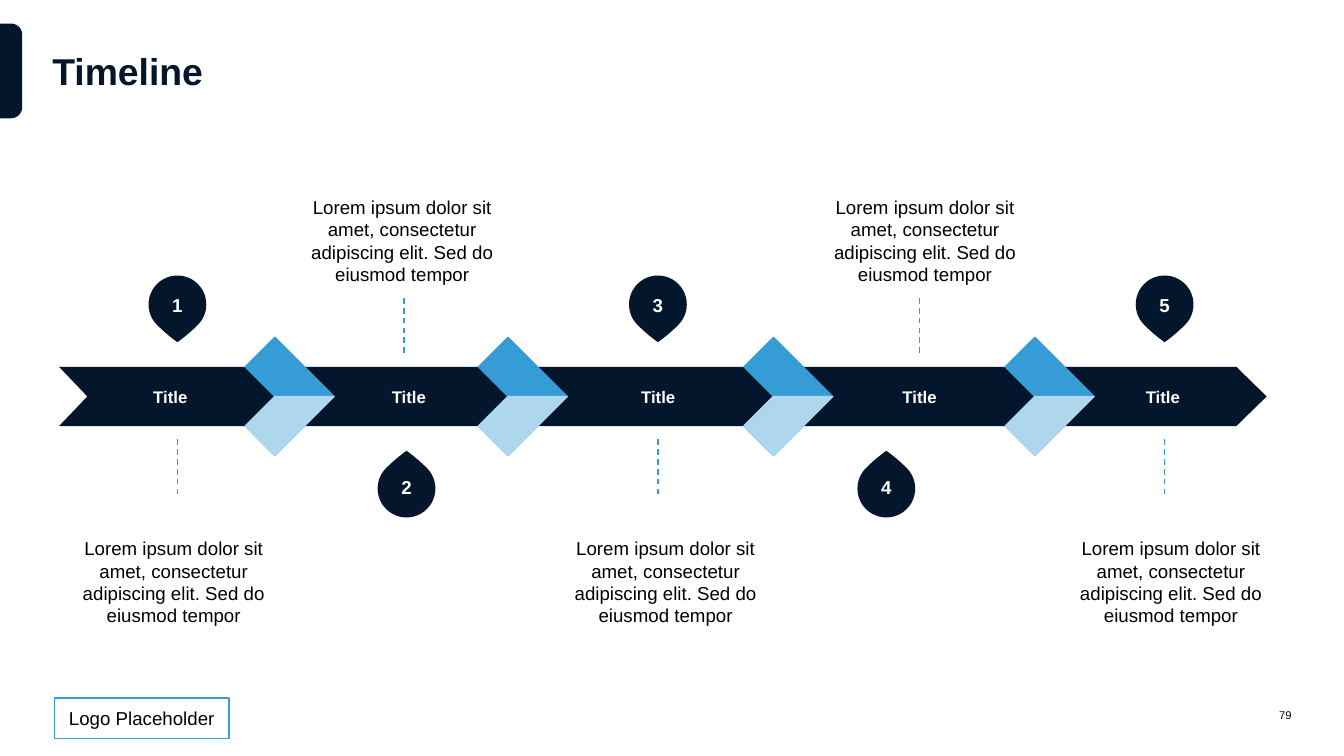
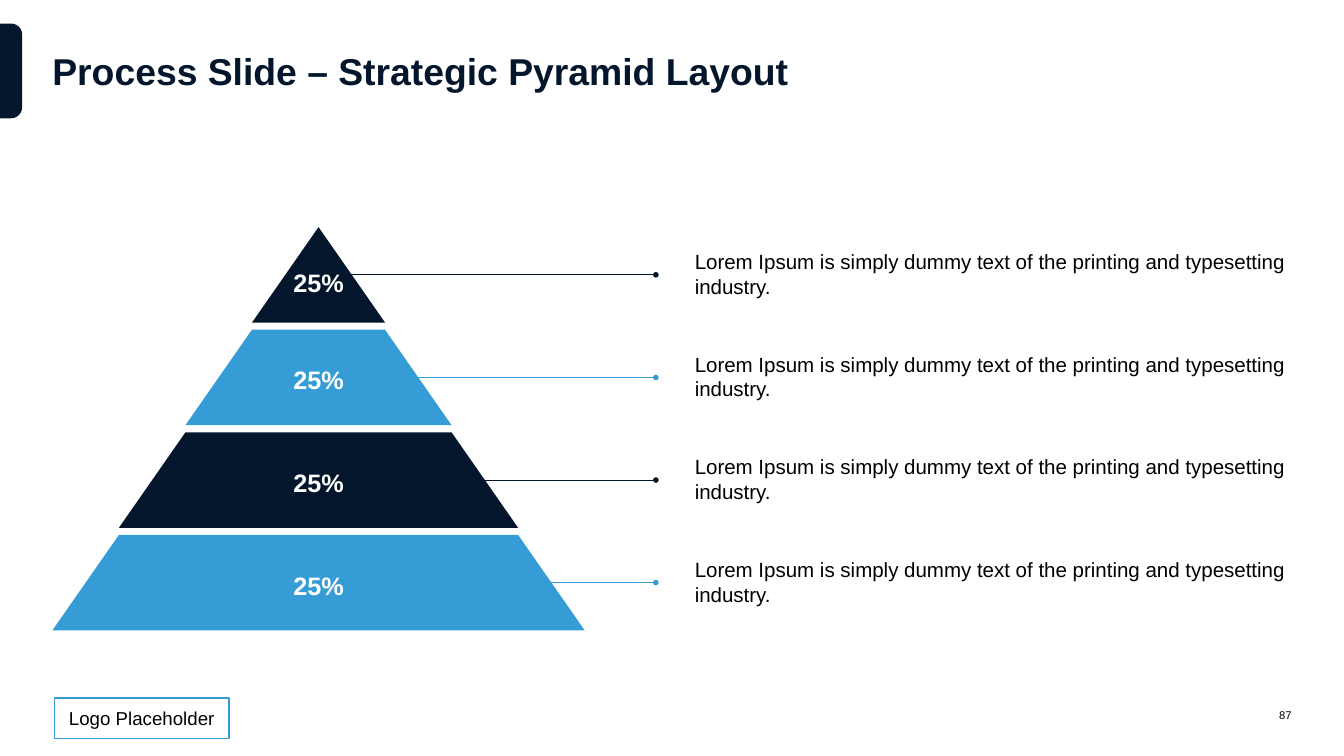
from dataclasses import dataclass
from lxml.etree import SubElement
from pptx import Presentation
from pptx.dml.color import RGBColor
from pptx.enum.dml import MSO_LINE
from pptx.enum.shapes import MSO_CONNECTOR, MSO_SHAPE
from pptx.enum.text import MSO_ANCHOR, MSO_AUTO_SIZE, PP_ALIGN
from pptx.oxml.ns import qn
from pptx.util import Inches, Pt


@dataclass(frozen=True)
class Theme:
    font: str = "Arial"
    navy: str = "04162B"
    blue: str = "359CD5"
    pale: str = "AED7EE"
    white: str = "FFFFFF"
    black: str = "000000"
    head: int = 40
    share: int = 27
    note: int = 22
    body: int = 20
    label: int = 18
    foot: int = 12


T = Theme()

LOGO = "Logo Placeholder"
LOREM = "Lorem ipsum dolor sit amet, consectetur adipiscing elit. Sed do eiusmod tempor"
DUMMY = "Lorem Ipsum is simply dummy text of the printing and typesetting industry."

STEPS = [
    dict(num="1", name="Title", mid=2.53, pin=2.64, dash=2.64, left=0.78, text=LOREM),
    dict(num="2", name="Title", mid=6.08, pin=6.05, dash=6.01, left=4.18, text=LOREM),
    dict(num="3", name="Title", mid=9.79, pin=9.79, dash=9.79, left=8.1, text=LOREM),
    dict(num="4", name="Title", mid=13.68, pin=13.19, dash=13.68, left=11.96, text=LOREM),
    dict(num="5", name="Title", mid=17.3, pin=17.33, dash=17.33, left=15.62, text=LOREM),
]
JOINTS = [4.09, 7.56, 11.51, 15.4]
AXIS = 5.9

TIERS = [
    ("25%", T.navy, DUMMY),
    ("25%", T.blue, DUMMY),
    ("25%", T.navy, DUMMY),
    ("25%", T.blue, DUMMY),
]


def box(*sides):
    return [Inches(side) for side in sides]


def paint(shape, fill, line=None, width=1.5):
    shape.shadow.inherit = False
    shape.fill.solid()
    shape.fill.fore_color.rgb = RGBColor.from_string(fill)
    if line:
        shape.line.color.rgb = RGBColor.from_string(line)
        shape.line.width = Pt(width)
    else:
        shape.line.fill.background()
    return shape


def write(shape, text, size=T.body, color=T.black, bold=False, align=PP_ALIGN.LEFT,
          anchor=MSO_ANCHOR.TOP, pad=None, space=None, grow=False):
    frame = shape.text_frame
    frame.word_wrap = True
    frame.vertical_anchor = anchor
    if grow:
        frame.auto_size = MSO_AUTO_SIZE.SHAPE_TO_FIT_TEXT
    if pad is not None:
        frame.margin_left = frame.margin_right = Inches(pad)
        frame.margin_top = frame.margin_bottom = Inches(pad)
    para = frame.paragraphs[0]
    para.alignment = align
    if space:
        para.line_spacing = space
    run = para.add_run()
    run.text = text
    run.font.name = T.font
    run.font.size = Pt(size)
    run.font.bold = bold
    run.font.color.rgb = RGBColor.from_string(color)


def label(slide, place, text, **style):
    write(slide.shapes.add_textbox(*box(*place)), text, **style)


def draw(slide, points, fill, line=None):
    spots = [box(*point) for point in points]
    form = slide.shapes.build_freeform(*spots[0])
    form.add_line_segments(spots[1:], close=True)
    paint(form.convert_to_shape(), fill, line)


def rule(slide, start, end, color, width, dash=None, tail=None):
    line = slide.shapes.add_connector(MSO_CONNECTOR.STRAIGHT, *box(*start, *end))
    line.line.color.rgb = RGBColor.from_string(color)
    line.line.width = Pt(width)
    if dash:
        line.line.dash_style = dash
    if tail:
        SubElement(line.line._get_or_add_ln(), qn("a:tailEnd"), type=tail)
    SubElement(line._element.spPr, qn("a:effectLst"))


def begin(deck, title, page):
    slide = deck.slides.add_slide(deck.slide_layouts[6])
    tab = slide.shapes.add_shape(MSO_SHAPE.ROUND_2_SAME_RECTANGLE, *box(-0.54, 0.89, 1.41, 0.33))
    tab.rotation = 90
    tab.adjustments[0] = 0.5
    paint(tab, T.navy)
    logo = slide.shapes.add_shape(MSO_SHAPE.ROUNDED_RECTANGLE, *box(0.81, 10.39, 2.6, 0.6))
    logo.adjustments[0] = 0
    paint(logo, T.white, T.blue)
    write(logo, LOGO, align=PP_ALIGN.CENTER, anchor=MSO_ANCHOR.MIDDLE)
    label(slide, (0.78, 0.35, 18.44, 1.39), title, size=T.head, color=T.navy, bold=True,
          anchor=MSO_ANCHOR.MIDDLE, pad=0)
    label(slide, (18.34, 10.39, 0.88, 0.51), page, size=T.foot, align=PP_ALIGN.RIGHT,
          anchor=MSO_ANCHOR.MIDDLE, pad=0)
    return slide


def time_line(deck):
    slide = begin(deck, "Timeline", "79")
    half = 0.44
    top, base = AXIS - half, AXIS + half
    draw(slide, [(0.88, top), (18.4, top), (18.85, AXIS), (18.4, base), (0.88, base),
                 (1.3, AXIS)], T.navy)
    white = dict(color=T.white, bold=True, align=PP_ALIGN.CENTER, anchor=MSO_ANCHOR.MIDDLE)
    for spot, step in enumerate(STEPS):
        high = spot % 2 == 0
        pin_top, num_top = (4.1, 4.21) if high else (6.84, 6.92)
        ends = (6.54, 7.4) if high else (5.25, 4.4)
        label(slide, (step["mid"] - 1.16, 5.63, 2.33, 0.54), step["name"], size=T.label, **white)
        rule(slide, (step["dash"], ends[0]), (step["dash"], ends[1]), T.blue, 1.5,
             dash=MSO_LINE.DASH)
        pin = slide.shapes.add_shape(MSO_SHAPE.TEAR,
                                     *box(step["pin"] - 0.43, pin_top, 0.86, 0.86))
        pin.adjustments[0] = 0.925
        pin.rotation = 135 if high else 315
        paint(pin, T.navy)
        label(slide, (step["pin"] - 0.58, num_top, 1.16, 0.66), step["num"], **white)
        label(slide, (step["left"], 7.87 if high else 2.79, 3.61, 1.62), step["text"],
              align=PP_ALIGN.CENTER, pad=0.12)
    wide = 2 * half
    for mid in JOINTS:
        draw(slide, [(mid, AXIS - wide), (mid + wide, AXIS), (mid, AXIS + wide),
                     (mid - half, base), (mid, AXIS), (mid - half, top)], T.blue, T.blue)
        draw(slide, [(mid, AXIS), (mid + wide, AXIS), (mid, AXIS + wide), (mid - half, base)],
             T.pale, T.pale)


def pyramid(deck):
    slide = begin(deck, "Process Slide – Strategic Pyramid Layout", "87")
    mid, flare, tall = 4.74, 0.99, 1.42
    tops = [3.38 + 4.58 / 3 * row for row in range(len(TIERS))]
    for top, (share, color, text) in zip(tops, TIERS):
        rule(slide, (5.09, top + tall / 2), (9.76, top + tall / 2), color, 1, tail="oval")
    for row, (top, (share, color, text)) in enumerate(zip(tops, TIERS)):
        near, far = flare * row, flare * (row + 1)
        roof = [(mid - near, top), (mid + near, top)] if row else [(mid, top)]
        draw(slide, roof + [(mid + far, top + tall), (mid - far, top + tall)], color)
        drop = 0.38 if row else 0.46
        label(slide, (mid - 0.91, top + drop, 1.82, 0.61), share, size=T.share, color=T.white,
              bold=True, align=PP_ALIGN.CENTER, space=1.2, grow=True)
        label(slide, (10.24, top + 0.28, 8.98, 0.84), text, size=T.note, grow=True)


def main():
    deck = Presentation()
    deck.slide_width, deck.slide_height = box(20, 11.25)
    time_line(deck)
    pyramid(deck)
    deck.save("out.pptx")


if __name__ == "__main__":
    main()
